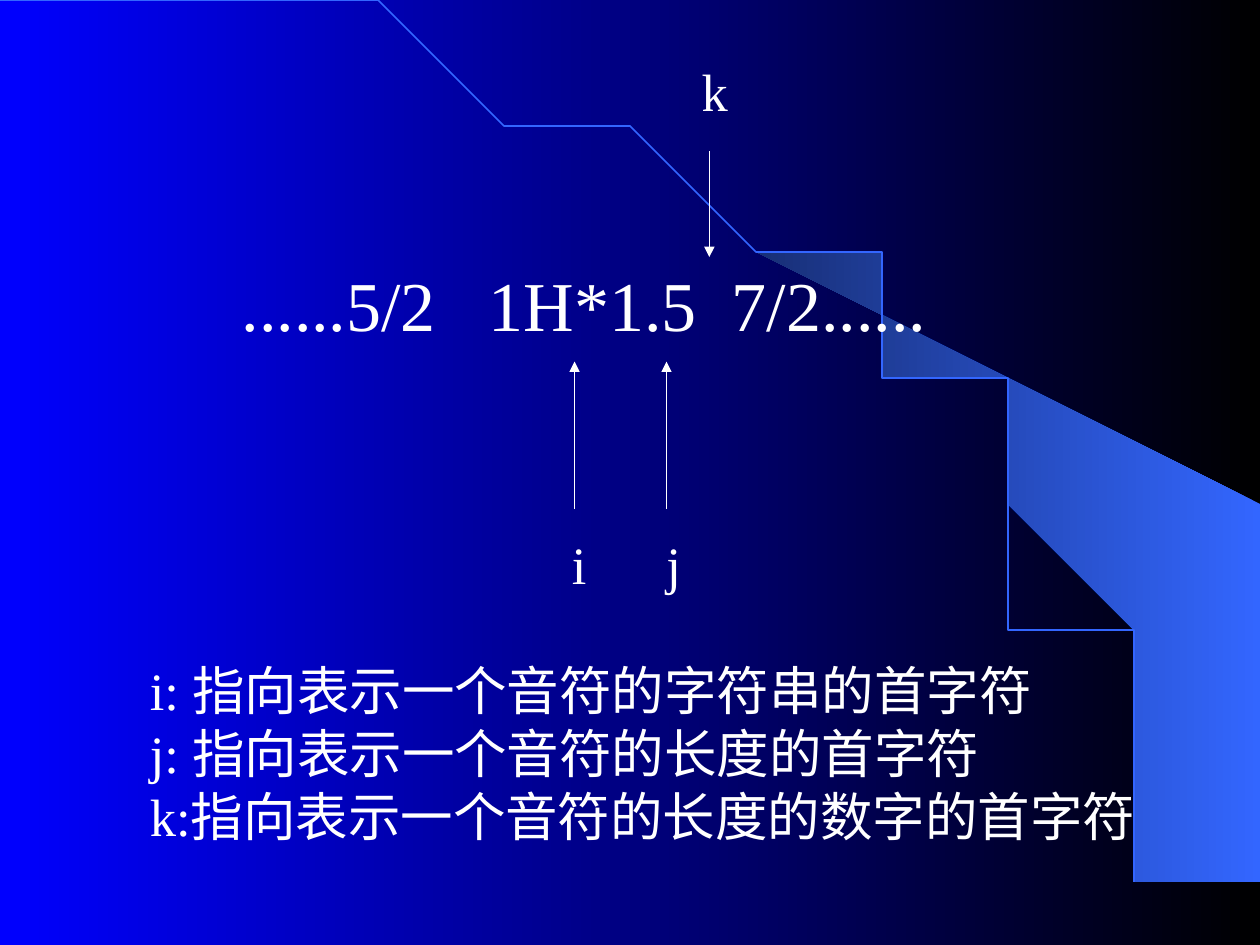
import math
from lxml import etree
from pptx import Presentation
from pptx.dml.color import RGBColor
from pptx.enum import shapes, text
from pptx.oxml import ns
from pptx.util import Inches, Pt

WHITE = RGBColor(0xFF, 0xFF, 0xFF)
BLACK = RGBColor(0, 0, 0)
BLUE = RGBColor(0, 0, 0xFF)
SKY = RGBColor(0x33, 0x66, 0xFF)
NAVY = RGBColor(0x18, 0x2F, 0x76)
FONT = "Times New Roman"

# (left, top, width, height), size, lines, tab stops
TEXTS = [
    ((1.82, 2.03, 5.76, 0.77), 40, ["......5/2\t1H*1.5\t7/2......"], [1.96, 3.89]),
    ((4.44, 4.17, 0.31, 0.6), 30, ["i"], []),
    ((5.19, 4.17, 0.31, 0.6), 30, ["j"], []),
    ((5.47, 0.42, 0.41, 0.6), 30, ["k"], []),
    ((1.09, 5.17, 8.12, 1.6), 30, [
        "i: 指向表示一个音符的字符串的首字符",
        "j: 指向表示一个音符的长度的首字符",
        "k:指向表示一个音符的长度的数字的首字符"], []),
]
# x, start y, end y
ARROWS = [(4.56, 4.04, 2.87), (5.29, 4.04, 2.87), (5.63, 1.2, 2.04)]
BAND = [(9.2, 7.48), (9.98, 7.48), (9.98, 4.23), (5.89, 1.73), (6.24, 1.99),
        (6.53, 2.22), (6.85, 2.5), (7.16, 2.8), (7.62, 3.3), (8.03, 3.84),
        (8.32, 4.31), (8.58, 4.79), (8.78, 5.27), (8.93, 5.72), (9.03, 6.09),
        (9.13, 6.56), (9.17, 6.96)]
ARC_W, ARC_H, STEPS = 9.2, 7.49, 60


def shade(fill, *colors):
    """Fill from right to left with two colours."""
    fill.gradient()
    fill.gradient_angle = 180
    for stop, color, pos in zip(fill.gradient_stops, colors, (0, 1)):
        stop.color.rgb = color
        stop.position = pos


def trace(slide, points, closed):
    pen = slide.shapes.build_freeform(*points[0], scale=Inches(1))
    pen.add_line_segments(points[1:], close=closed)
    shape = pen.convert_to_shape()
    shape.shadow.inherit = False
    return shape


def add_text(slide, box, size, lines, tabs):
    frame = slide.shapes.add_textbox(*map(Inches, box)).text_frame
    frame.word_wrap = False
    frame.auto_size = text.MSO_AUTO_SIZE.SHAPE_TO_FIT_TEXT
    for n, line in enumerate(lines):
        para = frame.add_paragraph() if n else frame.paragraphs[0]
        para.text = line
        if tabs:
            stops = etree.SubElement(para._p.get_or_add_pPr(), ns.qn("a:tabLst"))
            for pos in tabs:
                etree.SubElement(stops, ns.qn("a:tab"), pos=str(Inches(pos)), algn="l")
        for key, value in {"name": FONT, "size": Pt(size)}.items():
            setattr(para.font, key, value)
        para.font.color.rgb = WHITE


def add_arrow(slide, x, start, end):
    arrow = slide.shapes.add_connector(
        shapes.MSO_CONNECTOR.STRAIGHT, *map(Inches, (x, start, x, end)))
    arrow.line.color.rgb = WHITE
    arrow.line.width = Pt(0.75)
    etree.SubElement(arrow.line._get_or_add_ln(), ns.qn("a:tailEnd"), type="triangle")
    etree.SubElement(arrow._element.spPr, ns.qn("a:effectLst"))


def main():
    deck = Presentation()
    deck.slide_width, deck.slide_height = Inches(10), Inches(7.5)
    slide = deck.slides.add_slide(deck.slide_layouts[6])
    shade(slide.background.fill, BLACK, BLUE)

    band = trace(slide, BAND, True)
    shade(band.fill, SKY, NAVY)
    band.line.fill.background()

    turns = [math.pi / 2 * n / STEPS for n in range(STEPS + 1)]
    arc = trace(slide, [(ARC_W * math.sin(t), ARC_H * (1 - math.cos(t)))
                        for t in turns], False)
    arc.fill.background()
    arc.line.color.rgb = SKY
    arc.line.width = Pt(1)

    for item in TEXTS:
        add_text(slide, *item)
    for item in ARROWS:
        add_arrow(slide, *item)
    deck.save("out.pptx")


if __name__ == "__main__":
    main()
